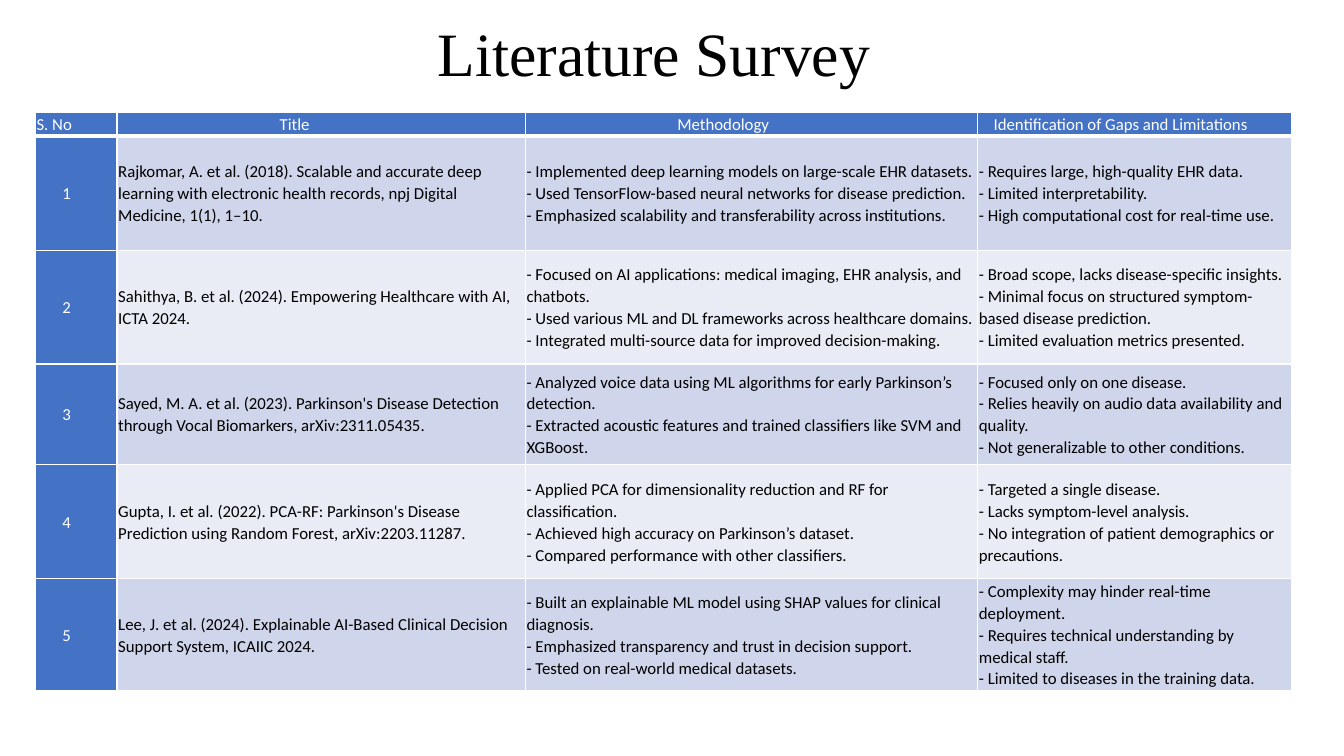
from lxml import etree
from pptx import Presentation
from pptx import util as u
from pptx.dml import color
from pptx.enum import text
from pptx.oxml import ns

BLUE, WHITE, BLACK = "4472C4", "FFFFFF", "000000"
BANDS = ("CFD5EA", "E9EBF5")
COLUMN_WIDTHS = (2.06, 10.29, 11.4, 7.92)
ROW_HEIGHTS = (0.48, 2.87, 2.87, 2.54, 2.87, 2.54)
HEADER_INDENTS = (0.03, 4.1, 3.83, 0.4)
NUMBER_INDENT = 0.68
CELL_MARGIN = 0.03

HEADERS = ("S. No", "Title", "Methodology", "Identification of Gaps and Limitations")
PAPERS = (
    (
        "Rajkomar, A. et al. (2018). Scalable and accurate deep learning with electronic health records, npj Digital Medicine, 1(1), 1–10.",
        ("Implemented deep learning models on large-scale EHR datasets.",
         "Used TensorFlow-based neural networks for disease prediction.",
         "Emphasized scalability and transferability across institutions."),
        ("Requires large, high-quality EHR data.",
         "Limited interpretability.",
         "High computational cost for real-time use."),
    ),
    (
        "Sahithya, B. et al. (2024). Empowering Healthcare with AI, ICTA 2024.",
        ("Focused on AI applications: medical imaging, EHR analysis, and chatbots.",
         "Used various ML and DL frameworks across healthcare domains.",
         "Integrated multi-source data for improved decision-making."),
        ("Broad scope, lacks disease-specific insights.",
         "Minimal focus on structured symptom-based disease prediction.",
         "Limited evaluation metrics presented."),
    ),
    (
        "Sayed, M. A. et al. (2023). Parkinson's Disease Detection through Vocal Biomarkers, arXiv:2311.05435.",
        ("Analyzed voice data using ML algorithms for early Parkinson’s detection.",
         "Extracted acoustic features and trained classifiers like SVM and XGBoost."),
        ("Focused only on one disease.",
         "Relies heavily on audio data availability and quality.",
         "Not generalizable to other conditions."),
    ),
    (
        "Gupta, I. et al. (2022). PCA-RF: Parkinson's Disease Prediction using Random Forest, arXiv:2203.11287.",
        ("Applied PCA for dimensionality reduction and RF for classification.",
         "Achieved high accuracy on Parkinson’s dataset.",
         "Compared performance with other classifiers."),
        ("Targeted a single disease.",
         "Lacks symptom-level analysis.",
         "No integration of patient demographics or precautions."),
    ),
    (
        "Lee, J. et al. (2024). Explainable AI-Based Clinical Decision Support System, ICAIIC 2024.",
        ("Built an explainable ML model using SHAP values for clinical diagnosis.",
         "Emphasized transparency and trust in decision support.",
         "Tested on real-world medical datasets."),
        ("Complexity may hinder real-time deployment.",
         "Requires technical understanding by medical staff.",
         "Limited to diseases in the training data."),
    ),
)


def rgb(value):
    return color.RGBColor.from_string(value)


def format_font(font, name, size, colour):
    font.name = name
    font.size = u.Pt(size)
    font.bold = False
    font.color.rgb = rgb(colour)


def add_borders(cell, widths):
    properties = cell._tc.get_or_add_tcPr()
    for side, width in zip("LRTB", widths):
        line = etree.SubElement(properties, ns.qn(f"a:ln{side}"), w=str(u.Pt(width)))
        fill = etree.SubElement(line, ns.qn("a:solidFill"))
        etree.SubElement(fill, ns.qn("a:srgbClr"), val=WHITE)


def fill_cell(cell, content, fill, colour, indent, borders):
    add_borders(cell, borders)
    cell.fill.solid()
    cell.fill.fore_color.rgb = rgb(fill)
    cell.vertical_anchor = text.MSO_ANCHOR.MIDDLE
    cell.margin_left = u.Cm(indent)
    cell.margin_right = cell.margin_top = cell.margin_bottom = u.Cm(CELL_MARGIN)
    paragraph = cell.text_frame.paragraphs[0]
    paragraph.text = content
    paragraph.line_spacing = 1.07
    paragraph.space_after = u.Pt(8)
    format_font(paragraph.font, "Calibri", 12, colour)


def dashed(points):
    return "\v".join(f"- {point}" for point in points)


def place_title(slide, left, top, width, height):
    title = slide.shapes.title
    title.left, title.top, title.width, title.height = map(u.Cm, (left, top, width, height))
    frame = title.text_frame
    frame.text = "Literature Survey"
    frame.auto_size = text.MSO_AUTO_SIZE.NONE
    frame.vertical_anchor = text.MSO_ANCHOR.MIDDLE
    paragraph = frame.paragraphs[0]
    paragraph.alignment = text.PP_ALIGN.CENTER
    paragraph.line_spacing = 0.9
    format_font(paragraph.font, "Times New Roman", 44, BLACK)


def place_survey(slide, left, top):
    table = slide.shapes.add_table(
        len(ROW_HEIGHTS), len(COLUMN_WIDTHS), u.Cm(left), u.Cm(top),
        u.Cm(sum(COLUMN_WIDTHS)), u.Cm(sum(ROW_HEIGHTS))).table
    for column, width in zip(table.columns, COLUMN_WIDTHS):
        column.width = u.Cm(width)
    for row, height in zip(table.rows, ROW_HEIGHTS):
        row.height = u.Cm(height)
    for index, (header, indent) in enumerate(zip(HEADERS, HEADER_INDENTS)):
        fill_cell(table.cell(0, index), header, BLUE, WHITE, indent, (1, 1, 1, 3))
    for number, (reference, methods, gaps) in enumerate(PAPERS, 1):
        borders = (1, 1, 3 if number == 1 else 1, 1)
        band = BANDS[(number - 1) % 2]
        fill_cell(table.cell(number, 0), str(number), BLUE, WHITE, NUMBER_INDENT, borders)
        for index, content in enumerate((reference, dashed(methods), dashed(gaps)), 1):
            fill_cell(table.cell(number, index), content, band, BLACK, CELL_MARGIN, borders)


def main():
    presentation = Presentation()
    presentation.slide_width = u.Cm(33.87)
    presentation.slide_height = u.Cm(19.05)
    slide = presentation.slides.add_slide(presentation.slide_layouts[5])
    place_title(slide, 1.88, -0.41, 29.21, 3.68)
    place_survey(slide, 0.89, 2.82)
    presentation.save("out.pptx")


if __name__ == "__main__":
    main()
